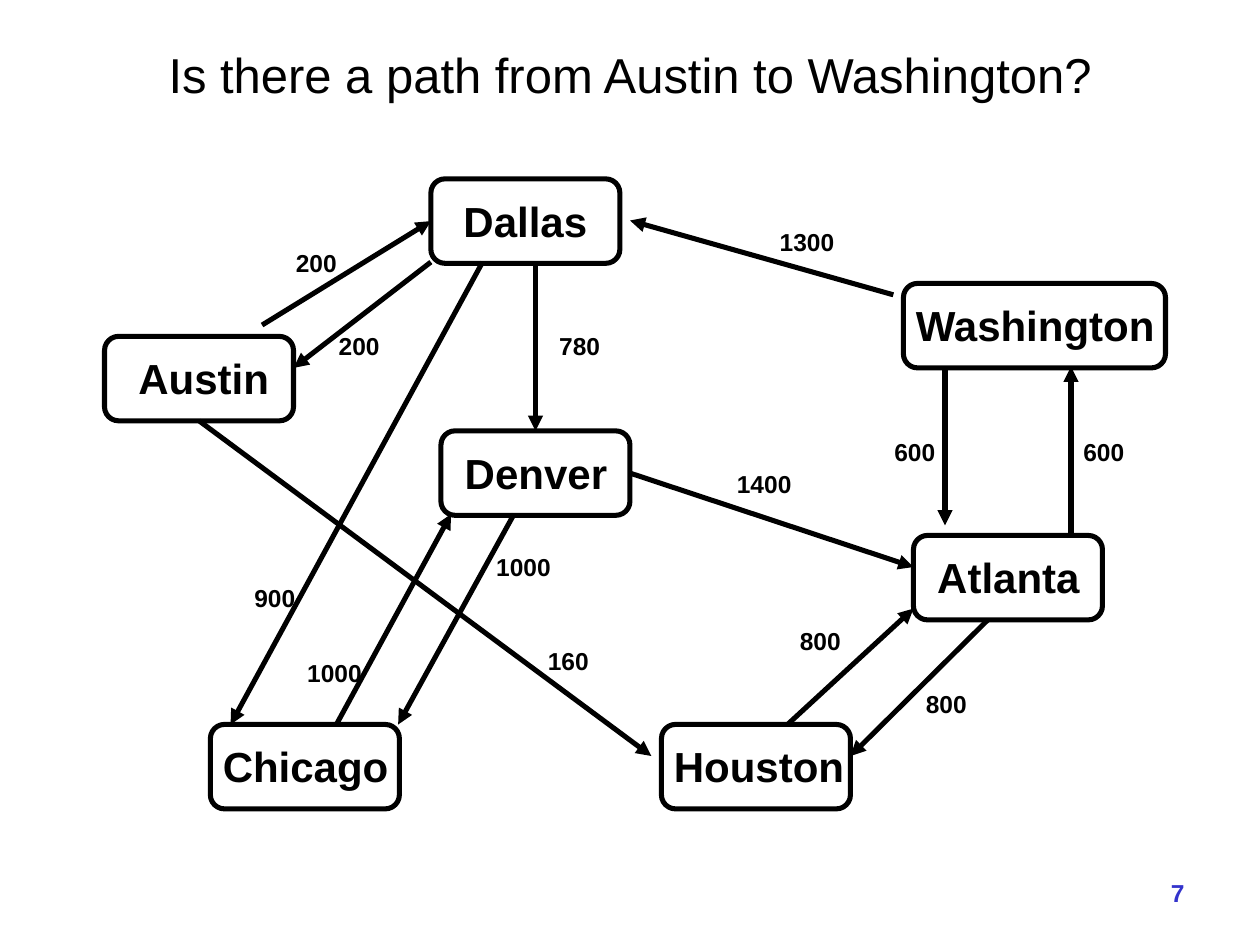
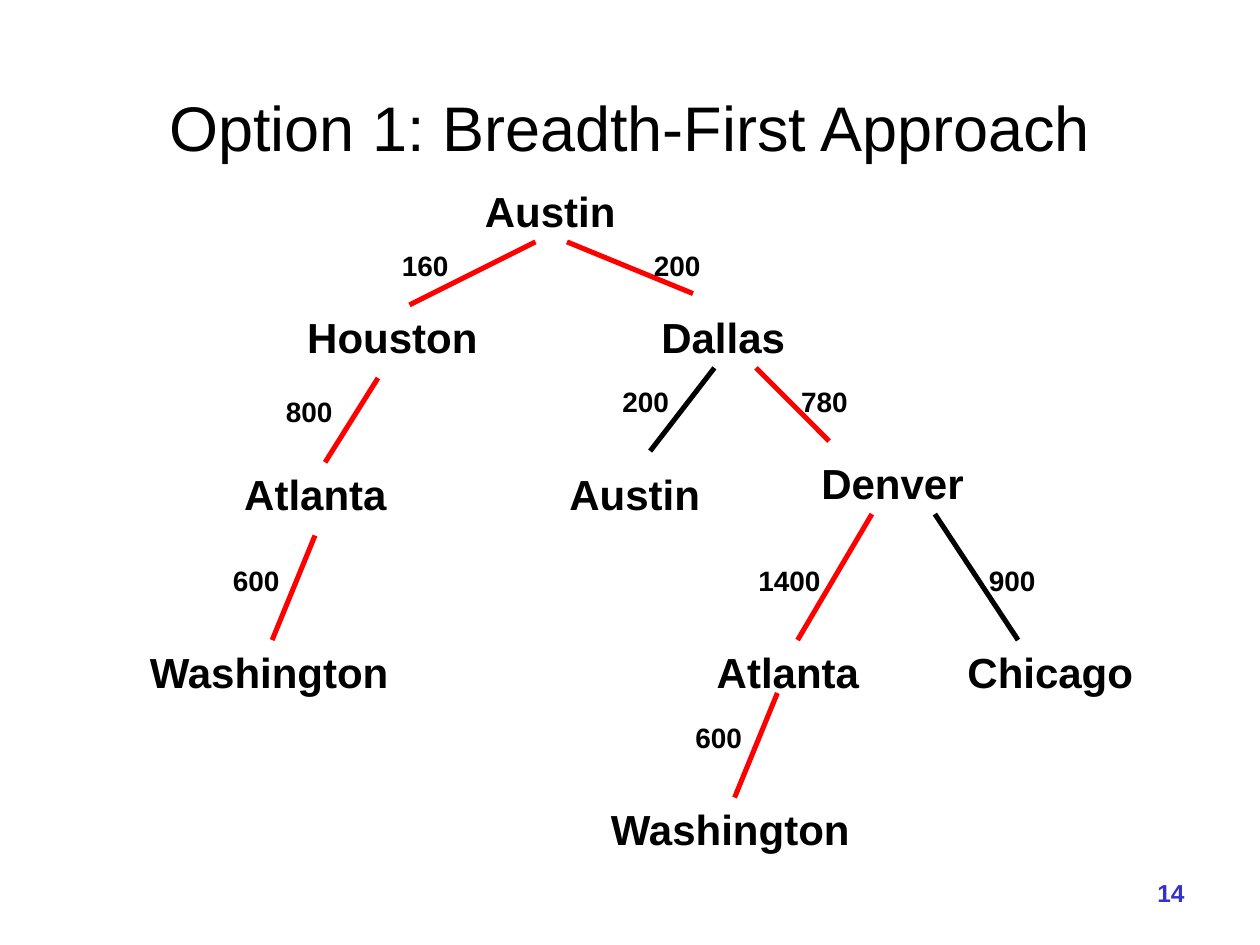
from pptx import Presentation
from pptx.dml.color import RGBColor
from pptx.enum.shapes import MSO_CONNECTOR, MSO_SHAPE
from pptx.enum.text import MSO_ANCHOR as ANCHOR, MSO_AUTO_SIZE as AUTO, PP_ALIGN as ALIGN
from pptx.oxml.ns import qn
from pptx.util import Inches, Pt
from lxml import etree

FONT = "Arial"
BLACK = RGBColor(0x00, 0x00, 0x00)
RED = RGBColor(0xFF, 0x00, 0x00)
BLUE = RGBColor(0x33, 0x33, 0xCC)
LINE_WIDTH = 2.89
CITY_SIZE = 24
BOX_HEIGHT = 0.67
NAME_DROP = 0.08
DIGIT_WIDTH = 0.556
INSET = 0.1
JOIN_GAP = 0.02

NAME_WIDTHS = {"Austin": 1.25, "Dallas": 1.19, "Denver": 1.34, "Washington": 2.11,
               "Chicago": 1.53, "Houston": 1.56, "Atlanta": 1.34}

MAP = {
    "title": "Is there a path from Austin to Washington?",
    "title_box": (0.75, 0.17, 8.5, 0.83), "title_size": 28,
    "number": "7", "label_size": 14, "arrows": True,
    # name, left, top, box width, name indent
    "boxes": [
        ("Dallas", 3.42, 1.42, 1.5, 0.16),
        ("Austin", 0.83, 2.67, 1.5, 0.17),
        ("Denver", 3.5, 3.42, 1.5, 0.09),
        ("Washington", 7.17, 2.25, 2.08, 0),
        ("Chicago", 1.67, 5.75, 1.5, 0),
        ("Houston", 5.25, 5.75, 1.5, 0),
        ("Atlanta", 7.25, 4.25, 1.5, 0.09),
    ],
    "names": [],
    "edges": [
        ((2.08, 2.58), (3.42, 1.75), BLACK, "200", (2.25, 1.92)),
        ((3.42, 2.08), (2.33, 2.92), BLACK, "200", (2.59, 2.58)),
        ((4.25, 2.08), (4.25, 3.42), BLACK, "780", (4.34, 2.58)),
        ((7.09, 2.34), (5, 1.75), BLACK, "1300", (6.09, 1.75)),
        ((5, 3.75), (7.25, 4.5), BLACK, "1400", (5.75, 3.67)),
        ((7.5, 2.92), (7.5, 4.17), BLACK, "600", (7, 3.42)),
        ((8.5, 4.25), (8.5, 2.91), BLACK, "600", (8.5, 3.42)),
        ((6.25, 5.75), (7.25, 4.83), BLACK, "800", (6.25, 4.92)),
        ((7.84, 4.92), (6.75, 6), BLACK, "800", (7.25, 5.42)),
        ((1.58, 3.33), (5.17, 6), BLACK, "160", (4.25, 5.08)),
        ((3.83, 2.08), (1.83, 5.75), BLACK, "900", (1.92, 4.58)),
        ((2.67, 5.75), (3.58, 4.08), BLACK, "1000", (2.34, 5.17)),
        ((4.08, 4.08), (3.16, 5.75), BLACK, "1000", (3.84, 4.33)),
    ],
}

TREE = {
    "title": "Option 1: Breadth-First Approach",
    "title_box": (0.75, 0.65, 8.5, 0.7), "title_size": 36,
    "number": "14", "label_size": 16, "arrows": False,
    "boxes": [],
    "names": [
        ("Austin", 3.75, 1.42),
        ("Houston", 2.34, 2.42), ("Dallas", 5.15, 2.42),
        ("Atlanta", 1.84, 3.67), ("Austin", 4.42, 3.67), ("Denver", 6.42, 3.58),
        ("Washington", 1.09, 5.08), ("Atlanta", 5.59, 5.08), ("Chicago", 7.58, 5.08),
        ("Washington", 4.75, 6.33),
    ],
    "edges": [
        ((4.25, 1.92), (3.25, 2.42), RED, "160", (3.09, 1.92)),
        ((4.5, 1.92), (5.5, 2.33), RED, "200", (5.09, 1.92)),
        ((3, 3), (2.58, 3.67), RED, "800", (2.17, 3.08)),
        ((2.5, 4.25), (2.16, 5.08), RED, "600", (1.75, 4.42)),
        ((5.67, 2.92), (5.16, 3.58), BLACK, "200", (4.84, 3)),
        ((6, 2.92), (6.58, 3.5), RED, "780", (6.26, 3)),
        ((6.92, 4.08), (6.33, 5.08), RED, "1400", (5.92, 4.42)),
        ((7.42, 4.08), (8.08, 5.08), BLACK, "900", (7.75, 4.42)),
        ((6.17, 5.5), (5.83, 6.33), RED, "600", (5.42, 5.67)),
    ],
}


def write(sp, text, size, color=BLACK, bold=True, align=ALIGN.LEFT,
          anchor=ANCHOR.TOP, wrap=False, auto=AUTO.SHAPE_TO_FIT_TEXT):
    """Fill a shape's text frame with one formatted run."""
    tf = sp.text_frame
    tf.word_wrap, tf.auto_size, tf.vertical_anchor = wrap, auto, anchor
    p = tf.paragraphs[0]
    p.alignment = align
    r = p.add_run()
    r.text = text
    r.font.name, r.font.size, r.font.bold = FONT, Pt(size), bold
    r.font.color.rgb = color


def add_text(s, text, left, top, width, size, height=None, **fmt):
    """Add a text box, one line high unless a height is given."""
    height = height or size * 1.2 / 72 + INSET
    sp = s.shapes.add_textbox(*map(Inches, (left, top, width, height)))
    write(sp, text, size, **fmt)


def add_box(s, left, top, width):
    """Add an outlined rounded box for a city."""
    sp = s.shapes.add_shape(MSO_SHAPE.ROUNDED_RECTANGLE,
                            *map(Inches, (left, top, width, BOX_HEIGHT)))
    sp.shadow.inherit = False
    sp.fill.background()
    sp.line.color.rgb, sp.line.width = BLACK, Pt(LINE_WIDTH)
    return sp


def find_join(boxes, point):
    """Return the box and side whose middle lies at the point, if any."""
    x, y = map(Inches, point)
    for sp in boxes:
        mid_x, mid_y = sp.left + sp.width // 2, sp.top + sp.height // 2
        sides = ((mid_x, sp.top), (sp.left, mid_y),
                 (mid_x, sp.top + sp.height), (sp.left + sp.width, mid_y))
        for side, (side_x, side_y) in enumerate(sides):
            if max(abs(side_x - x), abs(side_y - y)) < Inches(JOIN_GAP):
                return sp, side
    return None


def add_edge(s, boxes, start, end, color, arrow):
    """Add a straight edge and join it to the boxes it meets."""
    cn = s.shapes.add_connector(MSO_CONNECTOR.STRAIGHT, *map(Inches, start + end))
    cn.line.color.rgb, cn.line.width = color, Pt(LINE_WIDTH)
    if arrow:
        etree.SubElement(cn.line._get_or_add_ln(), qn("a:tailEnd"), type="triangle")
    etree.SubElement(cn._element.spPr, qn("a:effectLst"))
    for connect, point in ((cn.begin_connect, start), (cn.end_connect, end)):
        join = find_join(boxes, point)
        if join:
            connect(*join)


def build_slide(prs, graph):
    """Build one titled graph slide."""
    s = prs.slides.add_slide(prs.slide_layouts[5])
    title = s.shapes.title
    title.left, title.top, title.width, title.height = map(Inches, graph["title_box"])
    write(title, graph["title"], graph["title_size"], bold=False, align=ALIGN.CENTER,
          anchor=ANCHOR.MIDDLE, wrap=True, auto=AUTO.NONE)
    boxes = []
    for name, left, top, width, indent in graph["boxes"]:
        boxes.append(add_box(s, left, top, width))
        add_text(s, name, left + indent, top + NAME_DROP, NAME_WIDTHS[name], CITY_SIZE)
    for name, left, top in graph["names"]:
        add_text(s, name, left, top, NAME_WIDTHS[name], CITY_SIZE)
    for start, end, color, *_ in graph["edges"]:
        add_edge(s, boxes, start, end, color, graph["arrows"])
    size = graph["label_size"]
    for *_, miles, (left, top) in graph["edges"]:
        width = len(miles) * size * DIGIT_WIDTH / 72 + 2 * INSET
        add_text(s, miles, left, top, width, size)
    add_text(s, graph["number"], 7.42, 6.92, 2.08, 14, height=0.41, color=BLUE,
             align=ALIGN.RIGHT, wrap=True, auto=AUTO.NONE)


def main():
    """Build and save the presentation."""
    prs = Presentation()
    prs.slide_width, prs.slide_height = Inches(10), Inches(7.5)
    for graph in (MAP, TREE):
        build_slide(prs, graph)
    prs.save("out.pptx")


if __name__ == "__main__":
    main()
